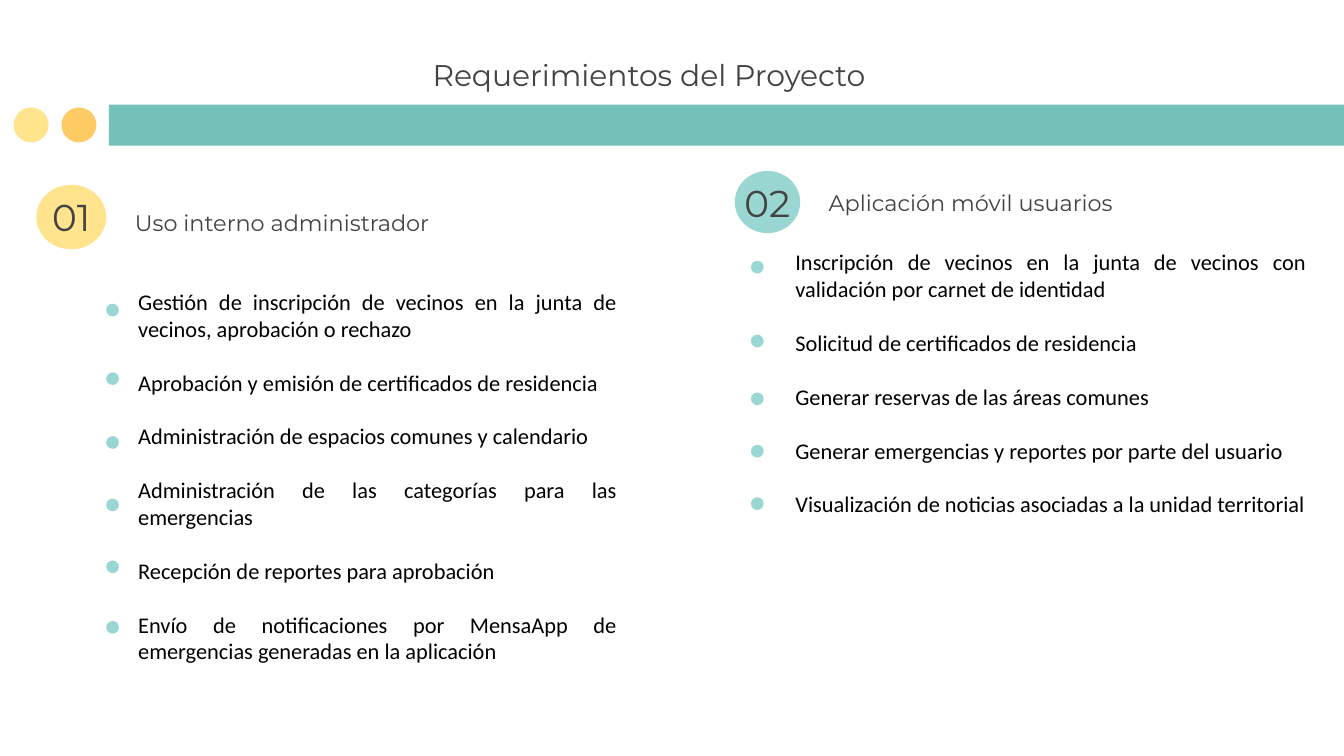
import pptx
import pptx.dml.color
import pptx.enum.shapes
import pptx.enum.text
import pptx.util

RGBColor = pptx.dml.color.RGBColor
Align = pptx.enum.text.PP_ALIGN
Anchor = pptx.enum.text.MSO_ANCHOR
ShapeType = pptx.enum.shapes.MSO_SHAPE

TEAL = RGBColor(0x74, 0xC1, 0xB9)
LIGHT_TEAL = RGBColor(0x9A, 0xD7, 0xD2)
YELLOW = RGBColor(0xFF, 0xE4, 0x8D)
ORANGE = RGBColor(0xFF, 0xCB, 0x64)
GRAY = RGBColor(0x43, 0x43, 0x43)
BLACK = RGBColor(0, 0, 0)

CELL = 0.1  # inches; the slide is 100 columns by 56.25 rows
COLUMNS, ROWS = 100, 56.25
DOT_SIZE = 0.95
ITEM_GAP = 14.4  # points, about one line of 12 pt Calibri

ADMIN_ITEMS = [
    "Gestión de inscripción de vecinos en la junta de vecinos, aprobación o rechazo",
    "Aprobación y emisión de certificados de residencia",
    "Administración de espacios comunes y calendario",
    "Administración de las categorías para las emergencias",
    "Recepción de reportes para aprobación",
    "Envío de notificaciones por MensaApp de emergencias generadas en la aplicación",
]
USER_ITEMS = [
    "Inscripción de vecinos en la junta de vecinos con validación por carnet de identidad",
    "Solicitud de certificados de residencia",
    "Generar reservas de las áreas comunes",
    "Generar emergencias y reportes por parte del usuario",
    "Visualización de noticias asociadas a la unidad territorial",
]


def cells(*counts):
    """Convert counts of grid cells to lengths."""
    return [pptx.util.Inches(count * CELL) for count in counts]


def write_text(frame, lines, *, font="Montserrat", size=12, color=GRAY,
               align=Align.CENTER, gap=0):
    """Write one paragraph per line, with gap points between them."""
    for index, line in enumerate(lines):
        paragraph = frame.paragraphs[0] if index == 0 else frame.add_paragraph()
        paragraph.alignment = align
        paragraph.space_before = pptx.util.Pt(gap if index else 0)
        run = paragraph.add_run()
        run.text = line
        run.font.name = font
        run.font.size = pptx.util.Pt(size)
        run.font.color.rgb = color


class SlideBuilder:
    """Holds the current slide and draws its elements in one style."""

    def __init__(self, presentation):
        self.slide = presentation.slides.add_slide(presentation.slide_layouts[6])

    def shape(self, kind, box, color):
        shape = self.slide.shapes.add_shape(kind, *cells(*box))
        shape.shadow.inherit = False
        shape.fill.solid()
        shape.fill.fore_color.rgb = color
        shape.line.fill.background()

    def circle(self, box, color):
        self.shape(ShapeType.OVAL, box, color)

    def text(self, box, lines, anchor=Anchor.BOTTOM, inset=1, **text_format):
        frame = self.slide.shapes.add_textbox(*cells(*box)).text_frame
        frame.word_wrap = True
        frame.vertical_anchor = anchor
        frame.margin_left, frame.margin_right = cells(1, 1)
        frame.margin_top, frame.margin_bottom = cells(inset, inset)
        write_text(frame, lines, **text_format)

    def section_header(self, number, badge, color, number_box, heading, heading_box):
        self.circle(badge, color)
        self.text(number_box, [number], anchor=Anchor.MIDDLE, size=20)
        self.text(heading_box, [heading])

    def dotted_list(self, items, box, dot_left, dot_tops):
        self.text(box, items, anchor=Anchor.TOP, inset=0.5, font="Calibri",
                  color=BLACK, align=Align.JUSTIFY, gap=ITEM_GAP)
        for top in dot_tops:
            self.circle((dot_left, top, DOT_SIZE, DOT_SIZE), LIGHT_TEAL)


def main():
    presentation = pptx.Presentation()
    presentation.slide_width, presentation.slide_height = cells(COLUMNS, ROWS)
    builder = SlideBuilder(presentation)

    bar_left = 8.1
    builder.shape(ShapeType.RECTANGLE, (bar_left, 7.78, COLUMNS - bar_left, 3.05), TEAL)
    for left, color in ((1.02, YELLOW), (4.58, ORANGE)):
        builder.circle((left, 8, 2.6, 2.6), color)
    builder.text((31.2, 4.05, 37.6, 3.8), ["Requerimientos del Proyecto"],
                 size=16, align=Align.LEFT)

    builder.section_header("01", (2.7, 13.75, 5.2, 4.8), YELLOW, (1.3, 14.3, 8, 3.6),
                           "Uso interno administrador", (7.9, 14.35, 26.2, 4.2))
    builder.dotted_list(ADMIN_ITEMS, (9.3, 20.95, 37.6, 31.3), 7.9,
                        (22.6, 27.7, 32.45, 37.1, 41.7, 46.2))

    builder.section_header("02", (54.67, 12.72, 4.87, 4.63), LIGHT_TEAL,
                           (51.4, 13.4, 11.4, 3.3),
                           "Aplicación móvil usuarios", (59.53, 13.45, 25.4, 3.6))
    builder.dotted_list(USER_ITEMS, (58.2, 18, 40, 23.2), 55.87,
                        (19.4, 24.9, 29.2, 33.1, 37))

    presentation.save("out.pptx")


if __name__ == "__main__":
    main()
